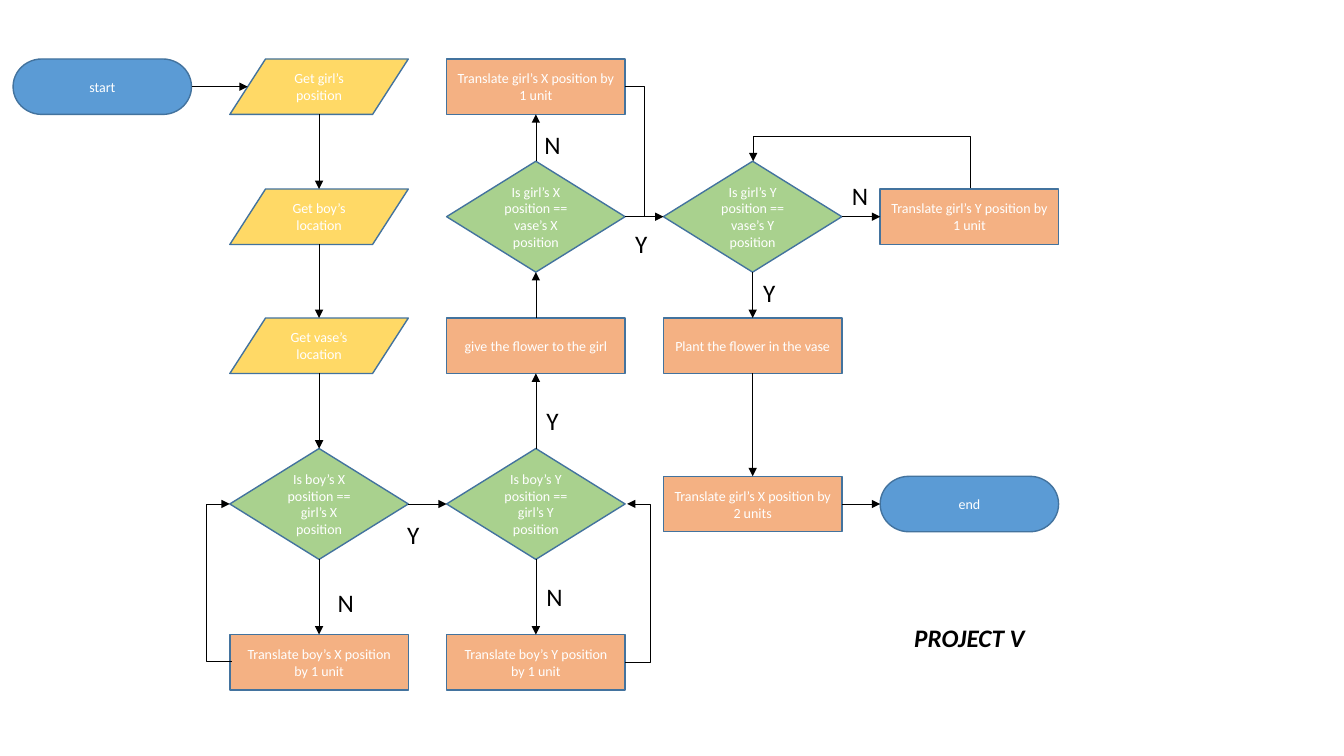
"""Build the flowchart slide for Project V."""
from dataclasses import dataclass

from pptx import Presentation
from pptx.dml.color import RGBColor
from pptx.enum.shapes import MSO_CONNECTOR, MSO_SHAPE
from pptx.enum.text import MSO_ANCHOR, MSO_AUTO_SIZE, PP_ALIGN
from pptx.oxml.ns import qn
from pptx.util import Inches, Pt
from lxml import etree

STEP = MSO_SHAPE.FLOWCHART_PROCESS
TEST = MSO_SHAPE.FLOWCHART_DECISION
DATA = MSO_SHAPE.FLOWCHART_DATA
TERM = MSO_SHAPE.FLOWCHART_TERMINATOR
LINE = MSO_CONNECTOR.STRAIGHT
ELBOW = MSO_CONNECTOR.ELBOW
CENTER = PP_ALIGN.CENTER
MIDDLE = MSO_ANCHOR.MIDDLE
TOP = MSO_ANCHOR.TOP
FIT = MSO_AUTO_SIZE.SHAPE_TO_FIT_TEXT
NO_FIT = MSO_AUTO_SIZE.NONE


@dataclass(frozen=True)
class Theme:
    """Hold the colours, font and type sizes."""
    font: str = "Calibri"
    small: int = 10
    large: int = 18
    ink: str = "000000"
    light: str = "FFFFFF"
    edge: str = "43739E"
    fills = {STEP: "F4B183", TEST: "A9D18E", DATA: "FFD966", TERM: "5B9BD5"}


class Chart:
    """Draw flowchart parts on one slide."""
    left, pitch, wide, high = 0.13, 2.15, 1.77, 0.55
    rows = (0.86, 2.15, 3.43, 5, 6.57)

    def __init__(self, slide, theme):
        """Keep the slide and its style."""
        self.slide, self.theme, self.nodes = slide, theme, {}

    def style(self, frame, size, tint, bold=None):
        """Set the font of every paragraph."""
        for para in frame.paragraphs:
            font = para.font
            font.name, font.size = self.theme.font, Pt(size)
            font.bold = font.italic = bold
            font.color.rgb = RGBColor.from_string(tint)

    def title(self, text, x, y, w, h):
        """Move and fill the title."""
        box = self.slide.shapes.title
        box.left, box.top, box.width, box.height = map(Inches, (x, y, w, h))
        frame = box.text_frame
        frame.text, frame.vertical_anchor = text, TOP
        frame.auto_size = NO_FIT
        frame.paragraphs[0].alignment = CENTER
        self.style(frame, self.theme.large, self.theme.ink, True)

    def node(self, col, row, kind, text):
        """Add a shape on the grid."""
        high = self.high * (2 if kind == TEST else 1)
        shape = self.slide.shapes.add_shape(
            kind, Inches(self.left + self.pitch * col),
            Inches(self.rows[row] - high / 2), Inches(self.wide), Inches(high))
        shape.shadow.inherit = False
        shape.fill.solid()
        shape.fill.fore_color.rgb = RGBColor.from_string(self.theme.fills[kind])
        shape.line.color.rgb = RGBColor.from_string(self.theme.edge)
        shape.line.width = Pt(1)
        frame = shape.text_frame
        frame.text, frame.vertical_anchor = text, MIDDLE
        frame.paragraphs[0].alignment = CENTER
        self.style(frame, self.theme.small, self.theme.light)
        self.nodes[col, row] = shape

    def wire(self, kind, start, end, head=True):
        """Add a thin line with an optional arrowhead."""
        wire = self.slide.shapes.add_connector(kind, *start, *end)
        wire.line.color.rgb = RGBColor.from_string(self.theme.ink)
        wire.line.width = Pt(0.5)
        if head:
            line = wire.line._get_or_add_ln()
            etree.SubElement(line, qn("a:tailEnd"), type="triangle")
        etree.SubElement(wire._element.spPr, qn("a:effectLst"))
        return wire

    def link(self, start, end):
        """Join the facing edges of two nodes."""
        a, b = self.nodes[start], self.nodes[end]
        if start[0] == end[0]:
            x = a.left + a.width // 2
            down = start[1] < end[1]
            ya = a.top + a.height * down
            yb = b.top + b.height * (not down)
            self.wire(LINE, (x, ya), (x, yb))
        else:
            y = a.top + a.height // 2
            slant = b.width // 10 if b.auto_shape_type == DATA else 0
            self.wire(LINE, (a.left + a.width, y), (b.left + slant, y))

    def bend(self, start, end, mid, head=True, rise=False):
        """Add an elbow turning at mid; rise leaves upward to the left."""
        (xa, ya), (xb, yb) = start, end
        ratio = (mid - ya) / (yb - ya) if rise else (mid - xa) / (xb - xa)
        if rise:
            x, y = (xa + xb) / 2, (ya + yb) / 2
            w, h = (ya - yb) / 2, (xa - xb) / 2
            start, end = (x - w, y + h), (x + w, y - h)
        wire = self.wire(ELBOW, map(Inches, start), map(Inches, end), head)
        if rise:
            wire.rotation = 270
        guides = wire._element.spPr.find(qn("a:prstGeom")).find(qn("a:avLst"))
        etree.SubElement(guides, qn("a:gd"), name="adj1",
                         fmla=f"val {round(ratio * 100000)}")

    def label(self, text, x, y):
        """Add a branch letter."""
        wide = 0.36 if text == "N" else 0.32
        box = self.slide.shapes.add_textbox(
            Inches(x), Inches(y), Inches(wide), Inches(0.4))
        frame = box.text_frame
        frame.text, frame.word_wrap, frame.auto_size = text, False, FIT
        self.style(frame, self.theme.large, self.theme.ink)


NODES = (
    (0, 0, TERM, "start"),
    (1, 0, DATA, "Get girl’s position"),
    (1, 1, DATA, "Get boy’s location"),
    (1, 2, DATA, "Get vase’s location"),
    (1, 3, TEST, "Is boy’s X position == girl’s X position"),
    (1, 4, STEP, "Translate boy’s X position by 1 unit"),
    (2, 0, STEP, "Translate girl’s X position by 1 unit"),
    (2, 1, TEST, "Is girl’s X position == vase’s X position"),
    (2, 2, STEP, "give the flower to the girl"),
    (2, 3, TEST, "Is boy’s Y position == girl’s Y position"),
    (2, 4, STEP, "Translate boy’s Y position by 1 unit"),
    (3, 1, TEST, "Is girl’s Y position == vase’s Y position"),
    (3, 2, STEP, "Plant the flower in the vase"),
    (3, 3, STEP, "Translate girl’s X position by 2 units"),
    (4, 1, STEP, "Translate girl’s Y position by 1 unit"),
    (4, 3, TERM, "end"),
)
ROUTES = (
    ((0, 0), (1, 0), (1, 1), (1, 2), (1, 3), (1, 4)),
    ((1, 3), (2, 3), (2, 2), (2, 1), (2, 0)),
    ((2, 3), (2, 4)),
    ((2, 1), (3, 1), (3, 2), (3, 3), (4, 3)),
    ((3, 1), (4, 1)),
)
LABELS = (
    ("N", 3.25, 5.78), ("Y", 3.94, 5.1), ("N", 5.32, 5.72), ("Y", 5.32, 3.97),
    ("N", 5.3, 1.23), ("Y", 6.2, 2.22), ("N", 8.35, 1.74), ("Y", 7.47, 2.7),
)

deck = Presentation()
deck.slide_width, deck.slide_height = Inches(13.33), Inches(7.5)
chart = Chart(deck.slides.add_slide(deck.slide_layouts[5]), Theme())
chart.title("PROJECT V", 7.93, 6.12, 3.37, 0.4)
for node in NODES:
    chart.node(*node)
for route in ROUTES:
    for start, end in zip(route, route[1:]):
        chart.link(start, end)
chart.bend((2.3, 6.56), (2.28, 5), 2.05)
chart.bend((6.2, 6.57), (6.22, 5), 6.45)
chart.bend((6.2, 0.86), (6.58, 2.15), 6.39, head=False)
chart.bend((9.62, 1.87), (7.47, 1.6), 1.35, rise=True)
for label in LABELS:
    chart.label(*label)
deck.save("out.pptx")
